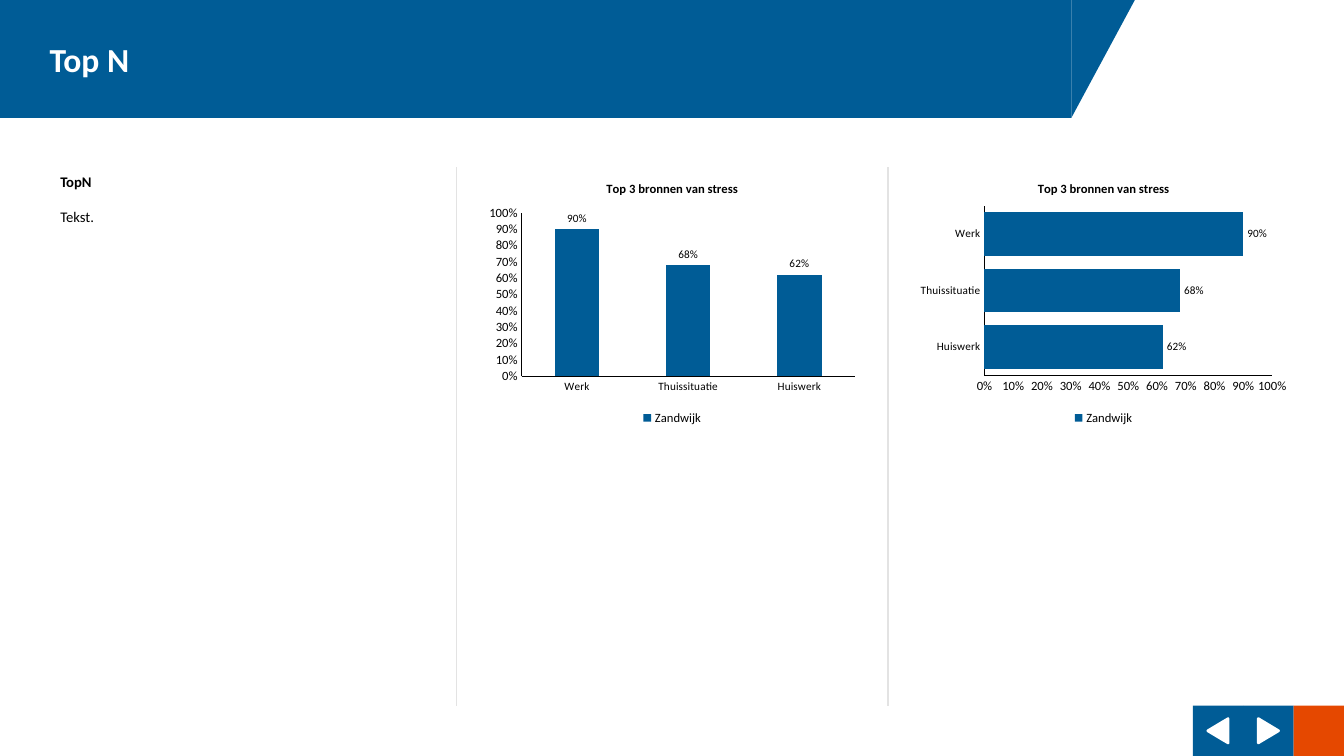
from dataclasses import dataclass

from lxml.etree import SubElement
from pptx import Presentation
from pptx.chart.data import CategoryChartData
from pptx.dml.color import RGBColor
from pptx.enum.chart import XL_CHART_TYPE as ChartType
from pptx.enum.chart import XL_LABEL_POSITION as LabelPosition
from pptx.enum.chart import XL_LEGEND_POSITION as LegendPosition
from pptx.enum.chart import XL_TICK_MARK as TickMark
from pptx.enum.shapes import MSO_CONNECTOR as Connector
from pptx.enum.shapes import MSO_SHAPE as Shape
from pptx.enum.text import MSO_ANCHOR as Anchor
from pptx.enum.text import MSO_AUTO_SIZE as AutoSize
from pptx.enum.text import PP_ALIGN as Align
from pptx.oxml.ns import qn
from pptx.util import Cm, Pt


@dataclass(frozen=True)
class Theme:
    font: str = "Calibri"
    blue: RGBColor = RGBColor(0x00, 0x5C, 0x96)
    orange: RGBColor = RGBColor(0xE5, 0x48, 0x00)
    grey: RGBColor = RGBColor(0xE3, 0xE3, 0xE3)
    white: RGBColor = RGBColor(0xFF, 0xFF, 0xFF)
    black: RGBColor = RGBColor(0x00, 0x00, 0x00)
    title: float = 24
    body: float = 10.5
    chart: float = 9
    label: float = 8


THEME = Theme()

# Layout in centimetres
SLIDE_W, SLIDE_H = 33.87, 19.05
HEADER_W, HEADER_H = 27, 2.97
COLUMN_LEFT, COLUMN_PITCH, COLUMN_W = 1.27, 10.87, 9.6
CONTENT_TOP, CHART_H = 4.22, 6.6
BUTTON = 1.27
BUTTON_TOP = SLIDE_H - BUTTON


def format_font(font, size, color=THEME.black, bold=False):
    font.name, font.size, font.bold = THEME.font, Pt(size), bold
    font.color.rgb = color


def write(paragraph, text, size=THEME.body, color=THEME.black, bold=False,
          after=0):
    run = paragraph.add_run()
    run.text = text
    format_font(run.font, size, color, bold)
    paragraph.alignment = Align.LEFT
    paragraph.space_before, paragraph.space_after = Pt(0), Pt(after)


class SlideBuilder:
    def __init__(self, slide, theme):
        self.slide, self.theme = slide, theme

    def title(self, text, width, height):
        header = self.slide.shapes.title
        header.left, header.top = Cm(0), Cm(0)
        header.width, header.height = Cm(width), Cm(height)
        header.fill.solid()
        header.fill.fore_color.rgb = self.theme.blue
        frame = header.text_frame
        frame.auto_size = AutoSize.NONE
        frame.vertical_anchor = Anchor.MIDDLE
        frame.margin_left = Cm(1.25)
        write(frame.paragraphs[0], text, size=self.theme.title,
              color=self.theme.white, bold=True)

    def shape(self, kind, left, top, width, height, color, rotation=0,
              flip=False, outline=0):
        item = self.slide.shapes.add_shape(
            kind, Cm(left), Cm(top), Cm(width), Cm(height))
        item.shadow.inherit = False
        item.rotation = rotation
        item.fill.solid()
        item.fill.fore_color.rgb = color
        if flip:
            item.element.spPr.find(qn("a:xfrm")).set("flipH", "1")
        if outline:
            item.line.color.rgb = color
            item.line.width = Pt(outline)
            SubElement(item.element.spPr.find(qn("a:ln")), qn("a:round"))
        else:
            item.line.fill.background()

    def button(self, left, color, arrow_rotation=None):
        self.shape(Shape.RECTANGLE, left, BUTTON_TOP, BUTTON, BUTTON, color)
        if arrow_rotation is not None:
            self.shape(Shape.ISOSCELES_TRIANGLE, left + 0.33,
                       BUTTON_TOP + 0.38, 0.61, 0.51, self.theme.white,
                       rotation=arrow_rotation, outline=2)

    def separator(self, x, top, bottom):
        line = self.slide.shapes.add_connector(
            Connector.STRAIGHT, Cm(x), Cm(bottom), Cm(x), Cm(top))
        line.line.color.rgb = self.theme.grey
        line.line.width = Pt(1)
        SubElement(line.element.spPr, qn("a:effectLst"))

    def text(self, heading, body, left, top, width, height):
        frame = self.slide.shapes.add_textbox(
            Cm(left), Cm(top), Cm(width), Cm(height)).text_frame
        frame.word_wrap = True
        write(frame.paragraphs[0], heading, bold=True, after=12.8)
        write(frame.add_paragraph(), body)

    def chart(self, kind, title, series_name, scores, left, gap, overlap=0):
        theme = self.theme
        data = CategoryChartData(number_format="0%")
        data.categories = [source for source, _ in scores]
        data.add_series(series_name, [score for _, score in scores])
        chart = self.slide.shapes.add_chart(
            kind, Cm(left), Cm(CONTENT_TOP), Cm(COLUMN_W), Cm(CHART_H),
            data).chart
        format_font(chart.font, theme.chart)

        # Title and legend
        chart.has_title = True
        write(chart.chart_title.text_frame.paragraphs[0], title,
              size=theme.chart, bold=True)
        chart.chart_title.include_in_layout = False
        chart.has_legend = True
        chart.legend.position = LegendPosition.BOTTOM
        chart.legend.include_in_layout = False
        format_font(chart.legend.font, theme.chart)

        # Axes
        for axis, size in ((chart.category_axis, theme.label),
                           (chart.value_axis, theme.chart)):
            axis.has_major_gridlines = False
            axis.major_tick_mark = axis.minor_tick_mark = TickMark.NONE
            axis.format.line.color.rgb = theme.black
            axis.format.line.width = Pt(1)
            format_font(axis.tick_labels.font, size)
        values = chart.value_axis
        values.minimum_scale, values.maximum_scale = 0, 1
        values.major_unit = 0.1
        values.tick_labels.number_format = "0%"
        values.tick_labels.number_format_is_linked = False

        # Bars and their values
        plot = chart.plots[0]
        plot.gap_width, plot.overlap = gap, overlap
        plot.vary_by_categories = False
        fill = plot.series[0].format.fill
        fill.solid()
        fill.fore_color.rgb = theme.blue
        plot.has_data_labels = True
        labels = plot.data_labels
        labels.show_value = True
        labels.position = LabelPosition.OUTSIDE_END
        labels.number_format = "0%"
        labels.number_format_is_linked = False
        format_font(labels.font, theme.label)


def main():
    deck = Presentation()
    deck.slide_width, deck.slide_height = Cm(SLIDE_W), Cm(SLIDE_H)
    builder = SlideBuilder(deck.slides.add_slide(deck.slide_layouts[5]), THEME)
    columns = [COLUMN_LEFT + i * COLUMN_PITCH for i in range(3)]

    # Header
    builder.title("Top N", HEADER_W, HEADER_H)
    builder.shape(Shape.RIGHT_TRIANGLE, HEADER_W, 0, 1.6, HEADER_H, THEME.blue,
                  rotation=180, flip=True)

    # Navigation buttons, from left to right
    buttons = [(THEME.blue, 270), (THEME.blue, 90), (THEME.orange, None)]
    for i, (color, rotation) in enumerate(buttons):
        builder.button(SLIDE_W - (len(buttons) - i) * BUTTON, color, rotation)

    # Columns
    for left in columns[1:]:
        builder.separator(left - 0.63, CONTENT_TOP, BUTTON_TOP)
    builder.text("TopN", "Tekst.", columns[0], CONTENT_TOP, COLUMN_W, 1.6)

    # Charts; bars stack from the bottom up, so their order is reversed
    scores = [("Werk", 0.9), ("Thuissituatie", 0.68), ("Huiswerk", 0.62)]
    heading, school = "Top 3 bronnen van stress", "Zandwijk"
    builder.chart(ChartType.COLUMN_CLUSTERED, heading, school, scores,
                  columns[1], gap=150)
    builder.chart(ChartType.BAR_CLUSTERED, heading, school, scores[::-1],
                  columns[2], gap=30, overlap=-30)

    deck.save("out.pptx")


if __name__ == "__main__":
    main()
